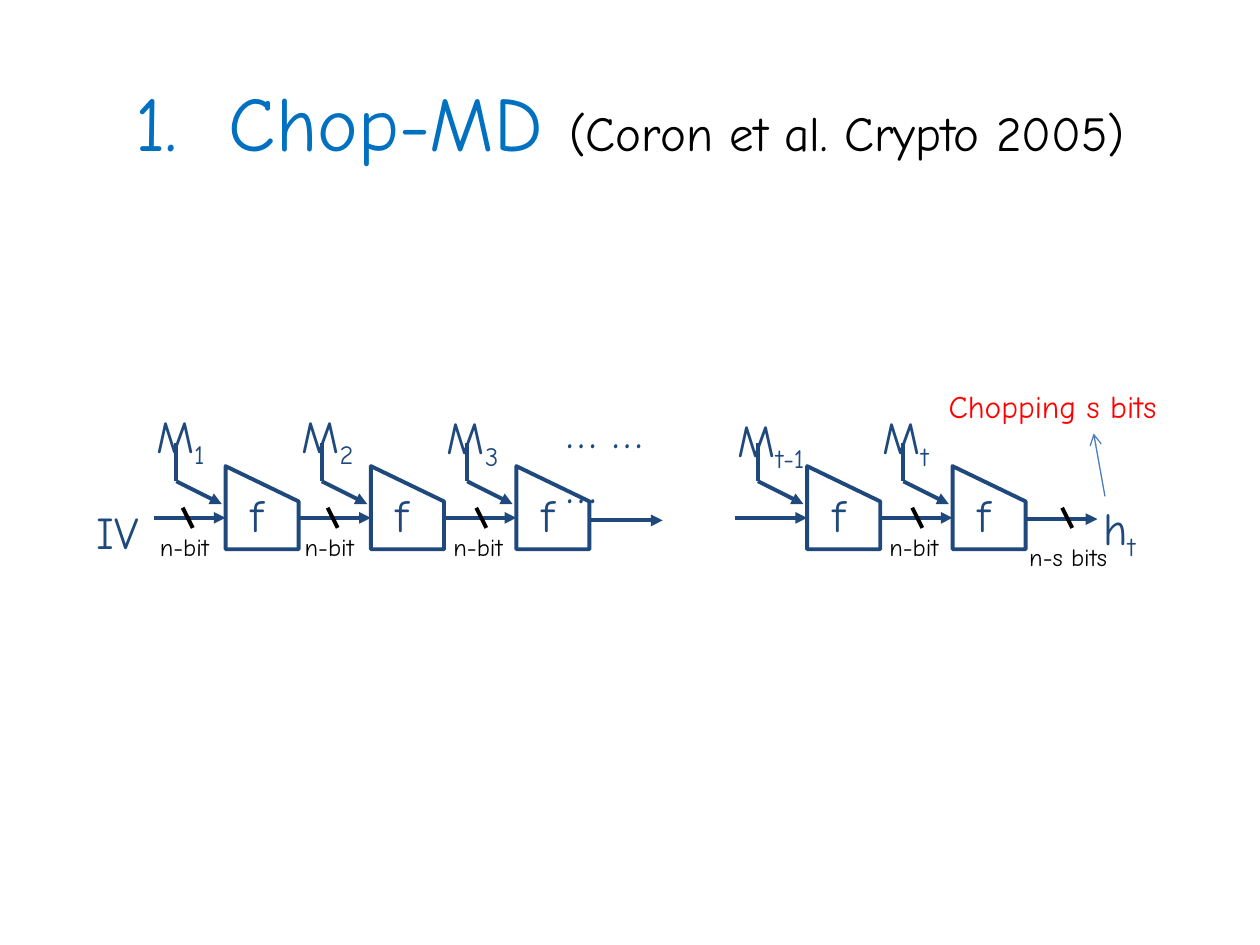
from lxml.etree import SubElement
from pptx import Presentation
from pptx.dml.color import RGBColor
from pptx.enum.shapes import MSO_CONNECTOR
from pptx.enum.text import MSO_ANCHOR, PP_ALIGN
from pptx.oxml.ns import qn
from pptx.util import Inches, Pt

NAVY = RGBColor(0x1F, 0x49, 0x7D)
BLUE = RGBColor(0x00, 0x70, 0xC0)
STEEL = RGBColor(0x4B, 0x7E, 0xBC)
RED = RGBColor(0xFF, 0x00, 0x00)
BLACK = RGBColor(0x00, 0x00, 0x00)
FACE = "Comic Neue"


def add_line(x1, y1, x2, y2, color=NAVY, width=2.25, head=None):
    """Draw a straight line, with an arrowhead of type head at its end."""
    line = slide.shapes.add_connector(
        MSO_CONNECTOR.STRAIGHT, Inches(x1), Inches(y1), Inches(x2), Inches(y2))
    line.line.color.rgb = color
    line.line.width = Pt(width)
    if head:
        SubElement(line.line._get_or_add_ln(), qn("a:tailEnd"), type=head)
    SubElement(line._element.spPr, qn("a:effectLst"))


def add_label(x, y, w, h, text, sub="", size=26, color=NAVY):
    """Place a text box whose text may end in a subscript."""
    box = slide.shapes.add_textbox(Inches(x), Inches(y), Inches(w), Inches(h))
    box.text_frame.word_wrap = True
    para = box.text_frame.paragraphs[0]
    for part, base in ((text, None), (sub, "-25000")):
        if part:
            run = para.add_run()
            run.text = part
            for key, value in {"name": FACE, "size": Pt(size)}.items():
                setattr(run.font, key, value)
            run.font.color.rgb = color
            if base:
                run._r.get_or_add_rPr().set("baseline", base)


deck = Presentation()
deck.slide_width, deck.slide_height = Inches(10), Inches(7.5)
slide = deck.slides.add_slide(deck.slide_layouts[5])

# Title
title = slide.shapes.title
place = {"left": 0.75, "top": 0.33, "width": 8.5, "height": 1.25}
for key, value in place.items():
    setattr(title, key, Inches(value))
title.text_frame.vertical_anchor = MSO_ANCHOR.MIDDLE
para = title.text_frame.paragraphs[0]
para.alignment = PP_ALIGN.CENTER
for text, size, color in (("1.  Chop-MD ", 44, BLUE),
                          ("(Coron et al. Crypto 2005)", 28, BLACK)):
    run = para.add_run()
    run.text = text
    for key, value in {"name": FACE, "size": Pt(size)}.items():
        setattr(run.font, key, value)
    run.font.color.rgb = color

# Chain of compression functions: slot, subscript, label top, label width
START, PITCH, WIDTH = 1.79, 5.77 / 5, 0.58
TOP, SHOULDER, BASE, FLOW = 3.7, 3.98, 4.36, 4.11
blocks = [(0, "1", 3.19, 0.63), (1, "2", 3.19, 0.67), (2, "3", 3.2, 0.67),
          (4, "t-1", 3.22, 0.84), (5, "t", 3.2, 0.63)]
for slot, sub, top, wide in blocks:
    x = START + slot * PITCH
    right = x + WIDTH
    corners = [(x, TOP), (right, SHOULDER), (right, BASE), (x, BASE)]
    points = [(Inches(a), Inches(b)) for a, b in corners]
    pen = slide.shapes.build_freeform(*points[0])
    pen.add_line_segments(points[1:], close=True)
    block = pen.convert_to_shape()
    block.shadow.inherit = False
    block.fill.background()
    block.line.color.rgb = NAVY
    block.line.width = Pt(2.25)

    add_line(x - 0.57, FLOW, x, FLOW, head="triangle")
    add_line(x - 0.39, 3.52, x - 0.39, 3.82)
    add_line(x - 0.39, 3.82, x - 0.03, 4, head="triangle")
    add_label(x - 0.65, top, wide, 0.53, "M", sub)
    add_label(x + 0.1, 3.82, 0.39, 0.53, "f")

# Chain ends
add_line(4.69, 4.13, 5.26, 4.13, head="triangle")
add_line(8.13, 4.12, 8.71, 4.12, head="triangle")
add_label(0.67, 3.95, 0.63, 0.53, "IV")
add_label(4.4, 3.15, 1.15, 0.53, "… … …")
add_label(8.66, 3.92, 0.52, 0.53, "h", "t")

# Bit widths
for x in (1.45, 2.6, 3.78, 7.24):
    add_line(x, 4.03, x + 0.08, 4.19, BLACK)
    add_label(x - 0.28, 4.17, 0.87, 0.33, "n-bit", size=14, color=BLACK)
add_line(8.43, 4.03, 8.51, 4.19, BLACK)
add_label(8.07, 4.25, 1.02, 0.33, "n-s bits", size=14, color=BLACK)

# Chopping note
add_line(8.77, 3.94, 8.68, 3.44, STEEL, 0.75, "arrow")
add_label(7.43, 3.02, 1.97, 0.4, "Chopping s bits", size=18, color=RED)

deck.save("out.pptx")
